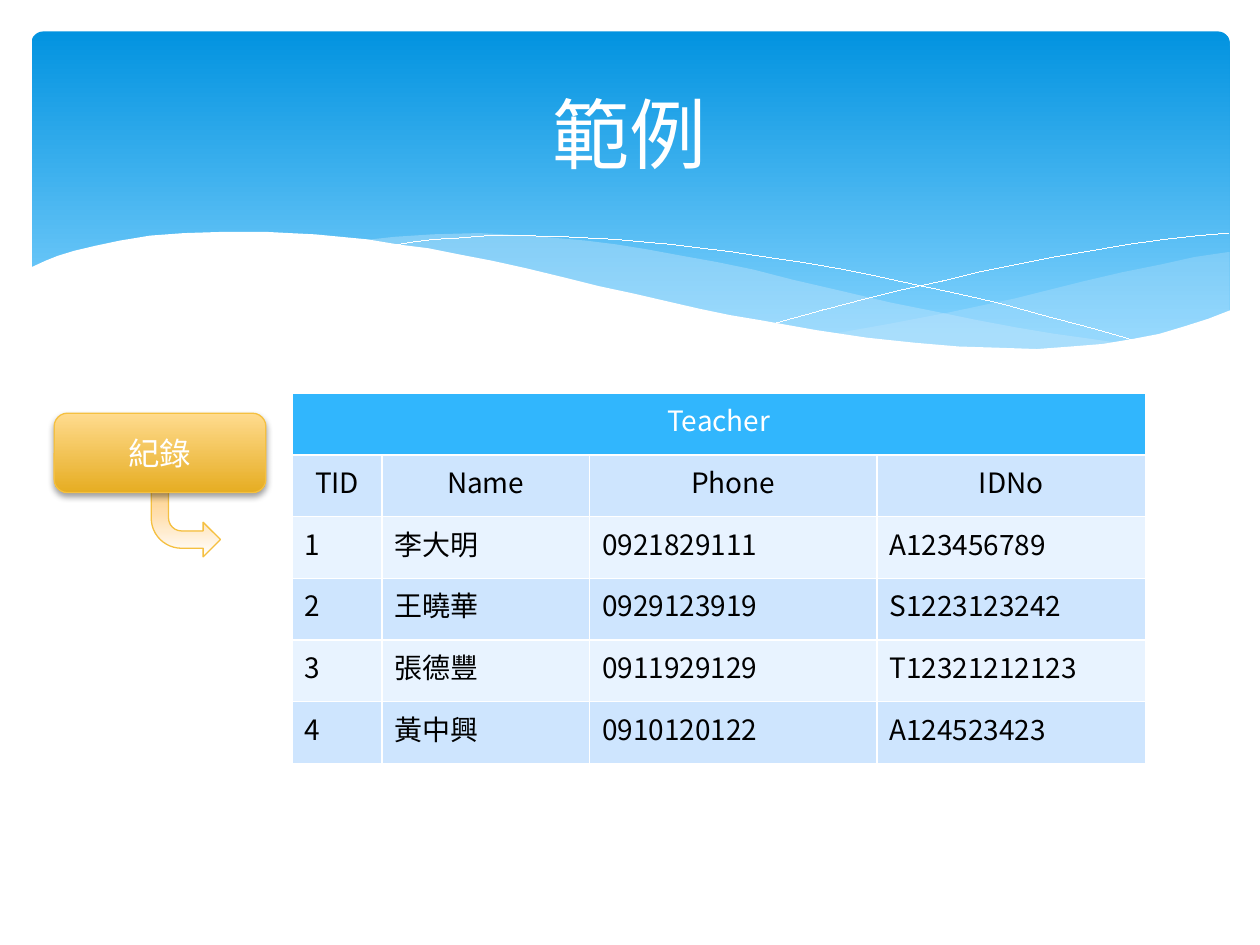
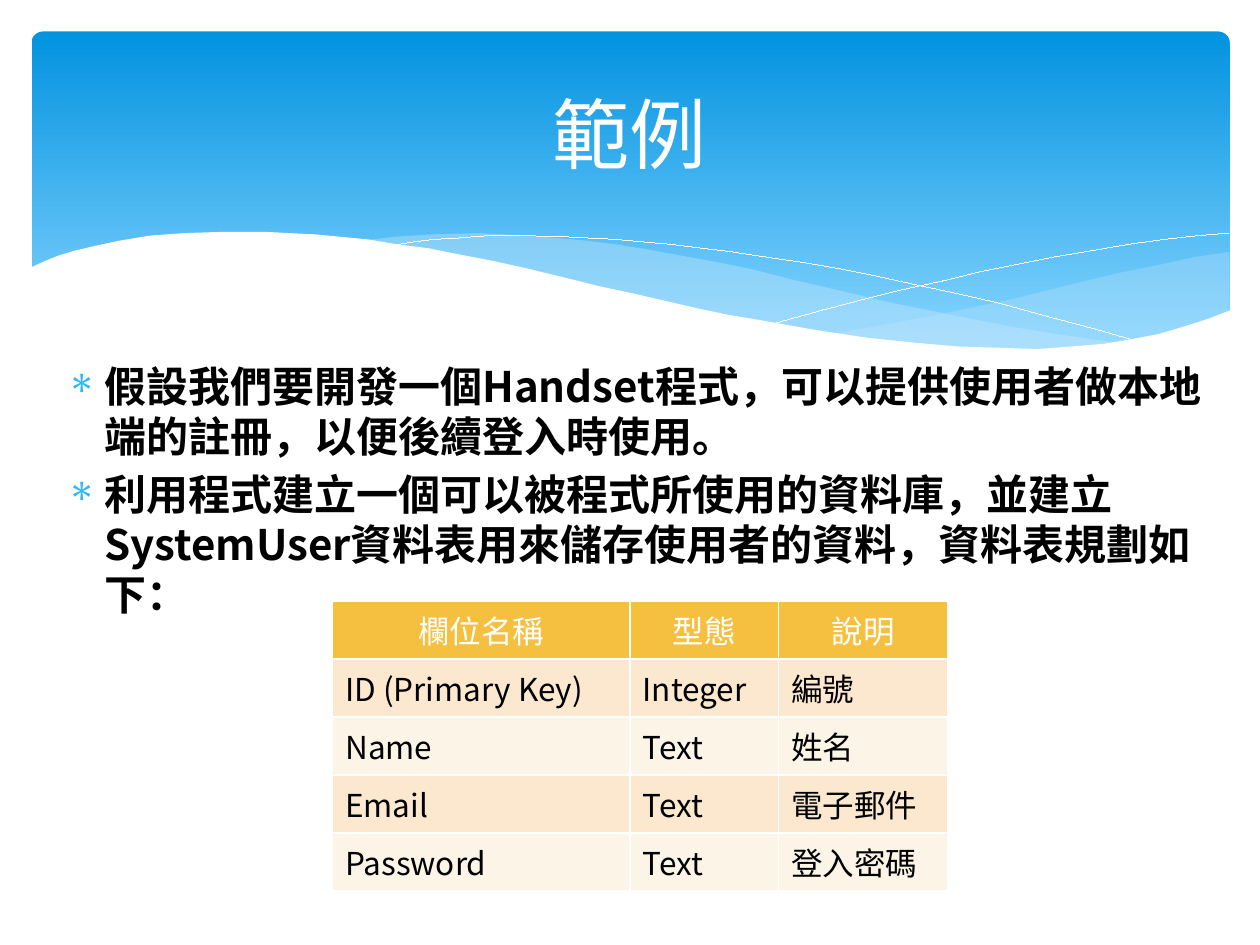
import pptx
import pptx.util
import pptx.dml.color
import pptx.enum.shapes
import pptx.enum.text
import pptx.oxml.ns
from lxml import etree

Inches = pptx.util.Inches
Pt = pptx.util.Pt
qn = pptx.oxml.ns.qn
SHAPE = pptx.enum.shapes.MSO_SHAPE
ALIGN = pptx.enum.text.PP_ALIGN
ANCHOR = pptx.enum.text.MSO_ANCHOR

FONT = "Noto Sans CJK SC"
COLORS = {
    "white": "FFFFFF",
    "black": "000000",
    "band_top": "0293E0",
    "band_bottom": "83D3FE",
    "wave": "C6E7FC",
    "blue": "31B6FD",
    "blue_mid": "CEE5FE",
    "blue_pale": "E8F3FF",
    "gold": "F5C040",
    "gold_mid": "FBE8CF",
    "gold_pale": "FDF4E8",
    "label_top": "FFDB8E",
    "label_bottom": "E6AD22",
    "arrow_mid": "FFDDAA",
    "arrow_end": "F4BB4A",
}

# Outlines of the waves, in inches
RIGHT_WAVE = [
    (9.75, 2), (9.48, 2.04), (9.21, 2.1), (8.91, 2.16), (8.61, 2.23),
    (8.05, 2.37), (7.53, 2.48), (7.06, 2.57), (6.61, 2.65), (6.91, 2.69),
    (7.19, 2.72), (7.45, 2.75), (7.69, 2.77), (8.03, 2.78), (8.35, 2.77),
    (8.63, 2.75), (8.89, 2.72), (9.13, 2.67), (9.35, 2.62), (9.49, 2.57),
    (9.76, 2.47), (9.76, 2)]
LONG_WAVE = [
    (8.93, 2.73), (8.66, 2.69), (8.37, 2.65), (8.07, 2.6), (7.75, 2.54),
    (7.41, 2.47), (7.06, 2.4), (6.68, 2.31), (6.29, 2.22), (5.98, 2.14),
    (5.69, 2.08), (5.41, 2.03), (5.14, 1.98), (4.89, 1.94), (4.65, 1.91),
    (4.42, 1.89), (4.2, 1.87), (3.8, 1.85), (3.44, 1.86), (3.13, 1.88),
    (2.86, 1.91), (3.23, 1.96), (3.62, 2.03), (4.04, 2.11), (4.49, 2.22),
    (4.91, 2.32), (5.3, 2.4), (5.66, 2.48), (6.01, 2.55), (6.34, 2.61),
    (6.65, 2.66), (6.95, 2.7), (7.22, 2.74), (7.48, 2.76), (7.85, 2.78),
    (8.28, 2.78), (8.57, 2.77), (8.76, 2.75)]
FALLING_LINE = [
    (3.09, 1.95), (3.28, 1.92), (3.44, 1.9), (3.63, 1.89), (3.87, 1.87),
    (4.16, 1.87), (4.5, 1.88), (4.89, 1.9), (5.33, 1.94), (5.82, 2),
    (6.08, 2.04), (6.36, 2.08), (6.65, 2.13), (6.95, 2.19), (7.27, 2.26),
    (7.6, 2.33), (7.95, 2.41), (8.31, 2.51), (8.69, 2.61), (9.07, 2.72)]
RISING_LINE = [
    (6.13, 2.57), (6.53, 2.46), (6.95, 2.35), (7.2, 2.29), (7.48, 2.23),
    (7.76, 2.16), (8.06, 2.1), (8.36, 2.04), (8.66, 1.99), (8.95, 1.94),
    (9.24, 1.9), (9.51, 1.87), (9.75, 1.85)]
WHITE_WAVE = [
    (9.77, 2.46), (9.59, 2.53), (9.4, 2.59), (9.2, 2.65), (8.99, 2.69),
    (8.75, 2.73), (8.5, 2.75), (8.23, 2.77), (7.93, 2.76), (7.61, 2.75),
    (7.26, 2.72), (6.88, 2.68), (6.48, 2.62), (6.03, 2.54), (5.79, 2.5),
    (5.55, 2.45), (5.29, 2.39), (5.03, 2.33), (4.75, 2.27), (4.47, 2.2),
    (4.18, 2.13), (3.91, 2.07), (3.65, 2.02), (3.4, 1.97), (3.16, 1.94),
    (2.92, 1.9), (2.71, 1.88), (2.5, 1.86), (2.3, 1.85), (2.11, 1.84),
    (1.77, 1.84), (1.46, 1.85), (1.19, 1.87), (0.95, 1.91), (0.76, 1.95),
    (0.59, 1.99), (0.46, 2.03), (0.36, 2.07), (0.23, 2.13), (0.23, 3.29),
    (9.77, 3.29)]

TEACHER_ROWS = [
    ["Teacher", "", "", ""],
    ["TID", "Name", "Phone", "IDNo"],
    ["1", "李大明", "0921829111", "A123456789"],
    ["2", "王曉華", "0929123919", "S1223123242"],
    ["3", "張德豐", "0911929129", "T12321212123"],
    ["4", "黃中興", "0910120122", "A124523423"],
]
FIELD_ROWS = [
    ["欄位名稱", "型態", "說明"],
    ["ID (Primary Key)", "Integer", "編號"],
    ["Name", "Text", "姓名"],
    ["Email", "Text", "電子郵件"],
    ["Password", "Text", "登入密碼"],
]
TASKS = [
    "假設我們要開發一個Handset程式，可以提供使用者做本地端的註冊，以便後續登入時使用。",
    "利用程式建立一個可以被程式所使用的資料庫，並建立SystemUser資料表用來儲存使用者的資料，資料表規劃如下：",
]


def rgb(name):
    return pptx.dml.color.RGBColor.from_string(COLORS[name])


def add_color(parent, name, alpha=None):
    color = etree.SubElement(parent, qn("a:srgbClr"), val=COLORS[name])
    if alpha is not None:
        etree.SubElement(color, qn("a:alpha"), val=str(alpha * 1000))


def fill_gradient(shape, stops):
    """Fill from top to bottom with (percent, colour) stops."""
    shape.fill.gradient()
    gradient = shape.element.spPr.find(qn("a:gradFill"))
    for child in list(gradient):
        gradient.remove(child)
    stop_list = etree.SubElement(gradient, qn("a:gsLst"))
    for percent, name in stops:
        stop = etree.SubElement(stop_list, qn("a:gs"), pos=str(percent * 1000))
        add_color(stop, name)
    etree.SubElement(gradient, qn("a:lin"), ang="5400000", scaled="0")


def write_text(paragraph, text, size, color, align=ALIGN.LEFT, bold=False):
    paragraph.text = text
    paragraph.alignment = align
    font = paragraph.font
    font.size = Pt(size)
    font.bold = bold
    font.color.rgb = rgb(color)
    font.name = FONT
    defaults = paragraph._p.pPr.find(qn("a:defRPr"))
    etree.SubElement(defaults, qn("a:ea"), typeface=FONT)


def add_gradient_shape(slide, kind, box, stops, line=None):
    shape = slide.shapes.add_shape(kind, *map(Inches, box))
    shape.shadow.inherit = False
    fill_gradient(shape, stops)
    if line:
        shape.line.color.rgb = rgb(line)
        shape.line.width = Pt(0.75)
    else:
        shape.line.fill.background()
    return shape


def draw_outline(slide, points, closed):
    corners = [(Inches(x), Inches(y)) for x, y in points]
    builder = slide.shapes.build_freeform(*corners[0])
    builder.add_line_segments(corners[1:], close=closed)
    shape = builder.convert_to_shape()
    shape.shadow.inherit = False
    return shape


def add_wave(slide, points, color, alpha=100):
    wave = draw_outline(slide, points, closed=True)
    wave.line.fill.background()
    wave.fill.solid()
    wave.fill.fore_color.rgb = rgb(color)
    color_element = wave.element.spPr.find(qn("a:solidFill"))[0]
    etree.SubElement(color_element, qn("a:alpha"), val=str(alpha * 1000))
    return wave


def add_hairline(slide, points):
    curve = draw_outline(slide, points, closed=False)
    curve.fill.background()
    curve.line.color.rgb = rgb("white")
    curve.element.spPr.find(qn("a:ln")).set("w", "0")
    return curve


def move_band_to_layout(slide):
    """Draw the wavy band and hand it to the layout, so every slide shows it."""
    layout = slide.slide_layout
    for placeholder in list(layout.placeholders)[1:]:
        layout.shapes.element.remove(placeholder.element)
    band = add_gradient_shape(slide, SHAPE.ROUNDED_RECTANGLE, (0.25, 0.25, 9.51, 2.7),
                              [(0, "band_top"), (90, "band_bottom")])
    band.adjustments[0] = 0.034
    parts = [
        band,
        add_wave(slide, RIGHT_WAVE, "wave", 29),
        add_wave(slide, LONG_WAVE, "wave", 40),
        add_hairline(slide, FALLING_LINE),
        add_hairline(slide, RISING_LINE),
        add_wave(slide, WHITE_WAVE, "white"),
    ]
    for part in parts:
        layout.shapes.element.append(part.element)


def set_title(slide, text):
    title = slide.shapes.title
    title.left, title.top, title.width, title.height = map(Inches, (0.5, 0.37, 9, 1.37))
    title.text_frame.vertical_anchor = ANCHOR.MIDDLE
    write_text(title.text_frame.paragraphs[0], text, 44, "white", ALIGN.CENTER)


def add_banded_table(slide, rows, left, top, widths, row_height, size, fills, centred_rows):
    """Fills are the header, odd and even row colours."""
    frame = slide.shapes.add_table(len(rows), len(widths), Inches(left), Inches(top),
                                   Inches(sum(widths)), Inches(row_height * len(rows)))
    table = frame.table
    for column, width in zip(table.columns, widths):
        column.width = Inches(width)
    header, odd, even = fills
    for row_index, row in enumerate(rows):
        fill = header if row_index == 0 else (odd if row_index % 2 else even)
        color = "black" if row_index else "white"
        align = ALIGN.CENTER if row_index < centred_rows else ALIGN.LEFT
        for column_index, text in enumerate(row):
            cell = table.cell(row_index, column_index)
            cell.fill.solid()
            cell.fill.fore_color.rgb = rgb(fill)
            write_text(cell.text_frame.paragraphs[0], text, size, color, align)
    return table


def add_record_label(slide):
    arrow = add_gradient_shape(slide, SHAPE.BENT_ARROW, (1.2, 3.6, 0.55, 0.82),
                               [(0, "white"), (44, "arrow_mid"), (100, "arrow_end")], "gold")
    arrow.element.spPr.find(qn("a:xfrm")).set("flipV", "1")
    label = add_gradient_shape(slide, SHAPE.ROUNDED_RECTANGLE, (0.43, 3.28, 1.68, 0.63),
                               [(0, "label_top"), (100, "label_bottom")], "gold")
    shadow = etree.SubElement(label.element.spPr.find(qn("a:effectLst")), qn("a:outerShdw"),
                              blurRad=str(Pt(4)), dist=str(Pt(2)), dir="5400000", rotWithShape="0")
    add_color(shadow, "black", 38)
    label.text_frame.vertical_anchor = ANCHOR.MIDDLE
    write_text(label.text_frame.paragraphs[0], "紀錄", 18, "white", ALIGN.CENTER)


def add_bullets(slide, box, texts):
    text_frame = slide.shapes.add_textbox(*map(Inches, box)).text_frame
    text_frame.word_wrap = True
    for index, text in enumerate(texts):
        paragraph = text_frame.add_paragraph() if index else text_frame.paragraphs[0]
        write_text(paragraph, text, 24, "black", bold=True)
        paragraph.space_before = Pt(4)
        properties = paragraph._p.pPr
        properties.set("marL", str(Inches(0.3)))
        properties.set("indent", str(-Inches(0.3)))
        defaults = properties.find(qn("a:defRPr"))
        bullet_color = etree.Element(qn("a:buClr"))
        add_color(bullet_color, "blue")
        defaults.addprevious(bullet_color)
        defaults.addprevious(etree.Element(qn("a:buFont"), typeface="Symbol"))
        defaults.addprevious(etree.Element(qn("a:buChar"), char="∗"))


def main():
    presentation = pptx.Presentation()
    presentation.slide_width = Inches(10)
    presentation.slide_height = Inches(7.5)
    title_only = presentation.slide_layouts[5]

    teacher_slide = presentation.slides.add_slide(title_only)
    move_band_to_layout(teacher_slide)
    set_title(teacher_slide, "範例")
    teachers = add_banded_table(teacher_slide, TEACHER_ROWS, 2.32, 3.12, [0.71, 1.65, 2.28, 2.13],
                                0.49, 16, ("blue", "blue_mid", "blue_pale"), centred_rows=2)
    teachers.cell(0, 0).merge(teachers.cell(0, 3))
    add_record_label(teacher_slide)

    fields_slide = presentation.slides.add_slide(title_only)
    set_title(fields_slide, "範例")
    add_bullets(fields_slide, (0.43, 2.81, 9.21, 3.89), TASKS)
    add_banded_table(fields_slide, FIELD_ROWS, 2.64, 4.77, [2.36, 1.18, 1.34],
                     0.46, 18, ("gold", "gold_mid", "gold_pale"), centred_rows=1)

    presentation.save("out.pptx")


if __name__ == "__main__":
    main()
